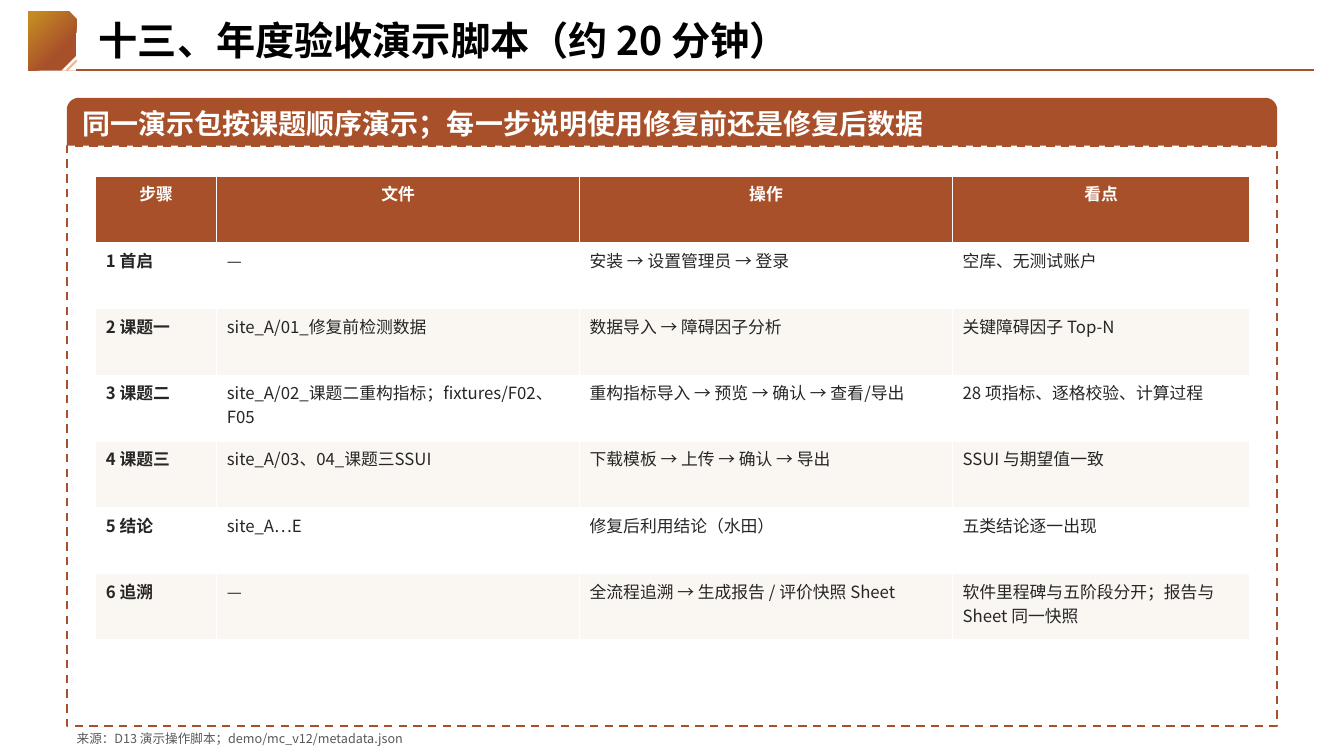
import pptx
import pptx.dml.color
import pptx.enum.dml
import pptx.enum.shapes
import pptx.enum.text
import pptx.oxml
import pptx.oxml.ns
import pptx.util

Pt = pptx.util.Pt
SHAPE = pptx.enum.shapes.MSO_SHAPE
ALIGN = pptx.enum.text.PP_ALIGN
ANCHOR = pptx.enum.text.MSO_ANCHOR
NAMESPACE = pptx.oxml.ns.nsdecls("a")

STEPS = [
    ("步骤", "文件", "操作", "看点"),
    ("1 首启", "—", "安装 → 设置管理员 → 登录", "空库、无测试账户"),
    ("2 课题一", "site_A/01_修复前检测数据", "数据导入 → 障碍因子分析", "关键障碍因子 Top-N"),
    ("3 课题二", "site_A/02_课题二重构指标；fixtures/F02、F05",
     "重构指标导入 → 预览 → 确认 → 查看/导出", "28 项指标、逐格校验、计算过程"),
    ("4 课题三", "site_A/03、04_课题三SSUI", "下载模板 → 上传 → 确认 → 导出", "SSUI 与期望值一致"),
    ("5 结论", "site_A…E", "修复后利用结论（水田）", "五类结论逐一出现"),
    ("6 追溯", "—", "全流程追溯 → 生成报告 / 评价快照 Sheet",
     "软件里程碑与五阶段分开；报告与 Sheet 同一快照"),
]


def color(hex_code):
    return pptx.dml.color.RGBColor.from_string(hex_code)


def write(frame, text, size=12, ink="262626", bold=False, align=ALIGN.LEFT,
          anchor=ANCHOR.TOP, font="Noto Sans CJK SC"):
    frame.word_wrap = True
    frame.vertical_anchor = anchor
    paragraph = frame.paragraphs[0]
    paragraph.alignment = align
    run = paragraph.add_run()
    run.text = text
    run.font.size = Pt(size)
    run.font.bold = bold
    run.font.color.rgb = color(ink)
    run.font.name = font
    run._r.get_or_add_rPr().append(
        pptx.oxml.parse_xml(f'<a:ea {NAMESPACE} typeface="{font}"/>'))


class Deck:
    rust = "A8502A"
    gold = "C58C23"
    peach = "FFB57D"
    white = "FFFFFF"
    cream = "FAF6F1"

    def __init__(self, width, height):
        self.show = pptx.Presentation()
        self.show.slide_width = Pt(width)
        self.show.slide_height = Pt(height)
        self.slide = self.show.slides.add_slide(self.show.slide_layouts[5])

    def title(self, text, left, top, width, height):
        heading = self.slide.shapes.title
        heading.left, heading.top = Pt(left), Pt(top)
        heading.width, heading.height = Pt(width), Pt(height)
        heading.text_frame.auto_size = pptx.enum.text.MSO_AUTO_SIZE.NONE
        write(heading.text_frame, text, size=28, ink="000000", bold=True, anchor=ANCHOR.MIDDLE)

    def shape(self, kind, left, top, width, height, fill=None):
        shape = self.slide.shapes.add_shape(kind, Pt(left), Pt(top), Pt(width), Pt(height))
        shape.shadow.inherit = False
        shape.line.fill.background()
        if fill:
            shape.fill.solid()
            shape.fill.fore_color.rgb = color(fill)
        else:
            shape.fill.background()
        return shape

    def emblem(self, left, top, width, height):
        badge = self.shape(SHAPE.SNIP_1_RECTANGLE, left, top, width, height)
        badge.fill.gradient()
        badge.fill.gradient_angle = 135
        for stop, position, tint in zip(badge.fill.gradient_stops, (0.33, 0.94), (self.rust, self.gold)):
            stop.position = position
            stop.color.rgb = color(tint)
        fold = 10.8
        right, bottom = left + width, top + height
        corner = self.shape(SHAPE.RIGHT_TRIANGLE, right - fold, bottom - fold, fold, fold, self.white)
        corner.rotation = 270
        self.line(right - 7.2, bottom, right, bottom - 7.2, self.peach)

    def line(self, x1, y1, x2, y2, ink):
        rule = self.slide.shapes.add_connector(
            pptx.enum.shapes.MSO_CONNECTOR.STRAIGHT, Pt(x1), Pt(y1), Pt(x2), Pt(y2))
        rule.line.color.rgb = color(ink)
        rule.line.width = Pt(1.5)
        rule._element.spPr.append(pptx.oxml.parse_xml(f"<a:effectLst {NAMESPACE}/>"))

    def frame(self, left, top, width, height):
        border = self.shape(SHAPE.RECTANGLE, left, top, width, height).line
        border.color.rgb = color(self.rust)
        border.width = Pt(1.5)
        border.dash_style = pptx.enum.dml.MSO_LINE.DASH

    def banner(self, text, left, top, width, height):
        band = self.shape(SHAPE.ROUND_2_SAME_RECTANGLE, left, top, width, height, self.rust)
        band.adjustments[0] = 0.25
        inside = band.text_frame
        inside.margin_left = inside.margin_right = Pt(8.64)
        inside.margin_top = inside.margin_bottom = Pt(8.64)
        write(inside, text, size=20, ink=self.white, bold=True, anchor=ANCHOR.MIDDLE)

    def note(self, text, left, top, width, height):
        box = self.slide.shapes.add_textbox(Pt(left), Pt(top), Pt(width), Pt(height))
        write(box.text_frame, text, size=9, ink="595959")

    def table(self, rows, left, top, widths, height):
        grid = self.slide.shapes.add_table(
            len(rows), len(widths), Pt(left), Pt(top), Pt(sum(widths)), Pt(height)).table
        for column, width in zip(grid.columns, widths):
            column.width = Pt(width)
        for r, texts in enumerate(rows):
            grid.rows[r].height = Pt(height / len(rows))
            header = r == 0
            fill = self.rust if header else self.white if r % 2 else self.cream
            for c, text in enumerate(texts):
                cell = grid.cell(r, c)
                self.cell_borders(cell)
                cell.fill.solid()
                cell.fill.fore_color.rgb = color(fill)
                write(cell.text_frame, text, bold=header or c == 0,
                      ink=self.white if header else "262626",
                      align=ALIGN.CENTER if header else ALIGN.LEFT)

    def cell_borders(self, cell):
        properties = cell._tc.get_or_add_tcPr()
        for side in "LRTB":
            properties.append(pptx.oxml.parse_xml(
                f'<a:ln{side} {NAMESPACE} w="12700"><a:solidFill>'
                f'<a:srgbClr val="{self.white}"/></a:solidFill></a:ln{side}>'))


def main():
    deck = Deck(960, 540)
    deck.emblem(20.16, 7.92, 34.56, 42.48)
    deck.line(54, 49.9, 938.4, 49.9, deck.rust)
    deck.frame(47.7, 104.4, 864.6, 414)
    deck.title("十三、年度验收演示脚本（约 20 分钟）", 63.36, 6.5, 867.6, 43.2)
    deck.banner("同一演示包按课题顺序演示；每一步说明使用修复前还是修复后数据", 47.7, 69.84, 864.6, 34.2)
    deck.note("来源：D13 演示操作脚本；demo/mc_v12/metadata.json", 47.7, 518.4, 864, 20.16)
    deck.table(STEPS, 68.4, 126, (86.4, 259.2, 266.4, 212.4), 331.2)
    deck.show.save("out.pptx")


if __name__ == "__main__":
    main()
